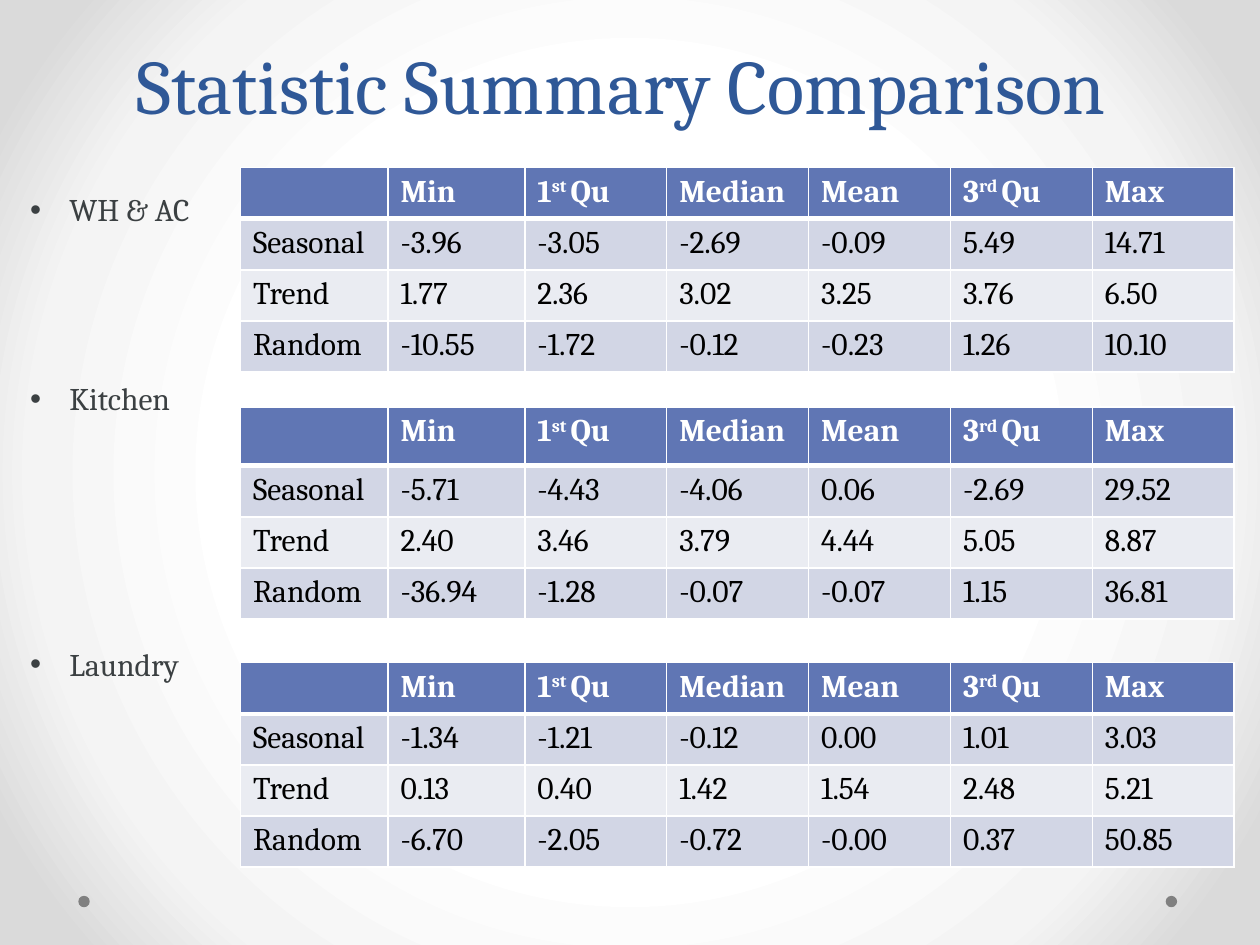
from lxml.etree import SubElement
from pptx import Presentation
from pptx.dml.color import RGBColor
from pptx.enum.shapes import MSO_SHAPE
from pptx.enum.text import MSO_ANCHOR, PP_ALIGN
from pptx.oxml import parse_xml
from pptx.oxml.ns import nsdecls, qn
from pptx.util import Cm, Pt

TITLE = "Statistic Summary Comparison "
# Each heading is a list of (text, superscript) parts.
HEADINGS = [
    [],
    [("Min", False)],
    [("1", False), ("st ", True), ("Qu", False)],
    [("Median", False)],
    [("Mean", False)],
    [("3", False), ("rd ", True), ("Qu", False)],
    [("Max", False)],
]
# Lengths in cm, space before the label in points.
GROUPS = [
    {"label": "WH & AC", "space": 0, "top": 3.38, "header": 1.03, "rows": [
        ("Seasonal", "-3.96", "-3.05", "-2.69", "-0.09", "5.49", "14.71"),
        ("Trend", "1.77", "2.36", "3.02", "3.25", "3.76", "6.50"),
        ("Random", "-10.55", "-1.72", "-0.12", "-0.23", "1.26", "10.10")]},
    {"label": "Kitchen", "space": 86.5, "top": 8.2, "header": 1.19, "rows": [
        ("Seasonal", "-5.71", "-4.43", "-4.06", "0.06", "-2.69", "29.52"),
        ("Trend", "2.40", "3.46", "3.79", "4.44", "5.05", "8.87"),
        ("Random", "-36.94", "-1.28", "-0.07", "-0.07", "1.15", "36.81")]},
    {"label": "Laundry", "space": 130, "top": 13.36, "header": 1.03, "rows": [
        ("Seasonal", "-1.34", "-1.21", "-0.12", "0.00", "1.01", "3.03"),
        ("Trend", "0.13", "0.40", "1.42", "1.54", "2.48", "5.21"),
        ("Random", "-6.70", "-2.05", "-0.72", "-0.00", "0.37", "50.85")]},
]
TABLE_LEFT = 4.85
COLUMN_WIDTHS = [2.97, 2.76] + [2.86] * 5
ROW_HEIGHT = 1.03
DOT_LEFTS = [23.5, 1.58]
BACKGROUND_STOPS = [(50, "FFFFFF"), (76, "F4F4F4"), (92, "DADADA")]

FONT = "Cambria"
WHITE = RGBColor(0xFF, 0xFF, 0xFF)
BLACK = RGBColor(0x00, 0x00, 0x00)
TITLE_BLUE = RGBColor(0x2F, 0x58, 0x97)
HEADER_BLUE = RGBColor(0x60, 0x76, 0xB4)
BANDS = [RGBColor(0xD2, 0xD6, 0xE5), RGBColor(0xEA, 0xEC, 0xF2)]
LABEL_GRAY = RGBColor(0x3B, 0x40, 0x42)
DOT_GRAY = RGBColor(0x80, 0x80, 0x80)


def add_text(paragraph, text, size=18, color=BLACK, bold=False, superscript=False):
    run = paragraph.add_run()
    run.text = text
    run.font.name = FONT
    run.font.size = Pt(size)
    run.font.color.rgb = color
    run.font.bold = bold
    if superscript:
        run.font._element.set("baseline", "30000")


def set_background(slide):
    stops = "".join(
        f'<a:gs pos="{position * 1000}"><a:srgbClr val="{color}"/></a:gs>'
        for position, color in BACKGROUND_STOPS)
    background = parse_xml(
        f'<p:bg {nsdecls("p", "a")}><p:bgPr><a:gradFill rotWithShape="1">'
        f'<a:gsLst>{stops}</a:gsLst><a:path path="circle">'
        '<a:fillToRect l="50000" t="50000" r="50000" b="50000"/></a:path>'
        '</a:gradFill><a:effectLst/></p:bgPr></p:bg>')
    slide._element.cSld.insert(0, background)


def add_text_box(slide, left, top, width, height):
    box = slide.shapes.add_textbox(Cm(left), Cm(top), Cm(width), Cm(height))
    box.text_frame.word_wrap = True
    return box.text_frame


def style_cell(cell, fill, top=1, bottom=1):
    """Fill a cell and give it white borders, widths in points."""
    cell.fill.solid()
    cell.fill.fore_color.rgb = fill
    properties = cell._tc.get_or_add_tcPr()
    sides = [("lnL", 1), ("lnR", 1), ("lnT", top), ("lnB", bottom)]
    for index, (side, width) in enumerate(sides):
        properties.insert(index, parse_xml(
            f'<a:{side} {nsdecls("a")} w="{Pt(width)}"><a:solidFill>'
            f'<a:srgbClr val="{WHITE}"/></a:solidFill></a:{side}>'))


def add_statistics(slide, group):
    heights = [group["header"]] + [ROW_HEIGHT] * len(group["rows"])
    table = slide.shapes.add_table(
        len(heights), len(COLUMN_WIDTHS), Cm(TABLE_LEFT), Cm(group["top"]),
        Cm(sum(COLUMN_WIDTHS)), Cm(sum(heights))).table
    for column, width in zip(table.columns, COLUMN_WIDTHS):
        column.width = Cm(width)
    for row, height in zip(table.rows, heights):
        row.height = Cm(height)
    for column, heading in enumerate(HEADINGS):
        cell = table.cell(0, column)
        style_cell(cell, HEADER_BLUE, bottom=3)
        for text, superscript in heading:
            add_text(cell.text_frame.paragraphs[0], text, color=WHITE,
                     bold=True, superscript=superscript)
    for row, values in enumerate(group["rows"], start=1):
        for column, value in enumerate(values):
            cell = table.cell(row, column)
            style_cell(cell, BANDS[(row - 1) % 2], top=3 if row == 1 else 1)
            add_text(cell.text_frame.paragraphs[0], value)


def add_labels(slide):
    frame = add_text_box(slide, 0.36, 3.71, 4.17, 11.02)
    for index, group in enumerate(GROUPS):
        paragraph = frame.add_paragraph() if index else frame.paragraphs[0]
        paragraph.space_before = Pt(group["space"])
        properties = paragraph._p.get_or_add_pPr()
        properties.set("marL", str(Cm(0.79)))
        properties.set("indent", str(-Cm(0.79)))
        SubElement(properties, qn("a:buFont")).set("typeface", "Arial")
        SubElement(properties, qn("a:buChar")).set("char", "•")
        add_text(paragraph, group["label"], color=LABEL_GRAY)


def main():
    presentation = Presentation()
    presentation.slide_width, presentation.slide_height = Cm(25.4), Cm(19.05)
    slide = presentation.slides.add_slide(presentation.slide_layouts[6])
    set_background(slide)

    for left in DOT_LEFTS:
        dot = slide.shapes.add_shape(
            MSO_SHAPE.OVAL, Cm(left), Cm(18.06), Cm(0.23), Cm(0.23))
        dot.shadow.inherit = False
        dot.fill.solid()
        dot.fill.fore_color.rgb = DOT_GRAY
        dot.line.fill.background()

    title = add_text_box(slide, 1.27, 0.61, 22.86, 2.13)
    title.vertical_anchor = MSO_ANCHOR.BOTTOM
    paragraph = title.paragraphs[0]
    paragraph.alignment = PP_ALIGN.CENTER
    paragraph.line_spacing = Pt(58)
    add_text(paragraph, TITLE, size=44, color=TITLE_BLUE)

    for group in GROUPS:
        add_statistics(slide, group)
    add_labels(slide)
    presentation.save("out.pptx")


if __name__ == "__main__":
    main()
